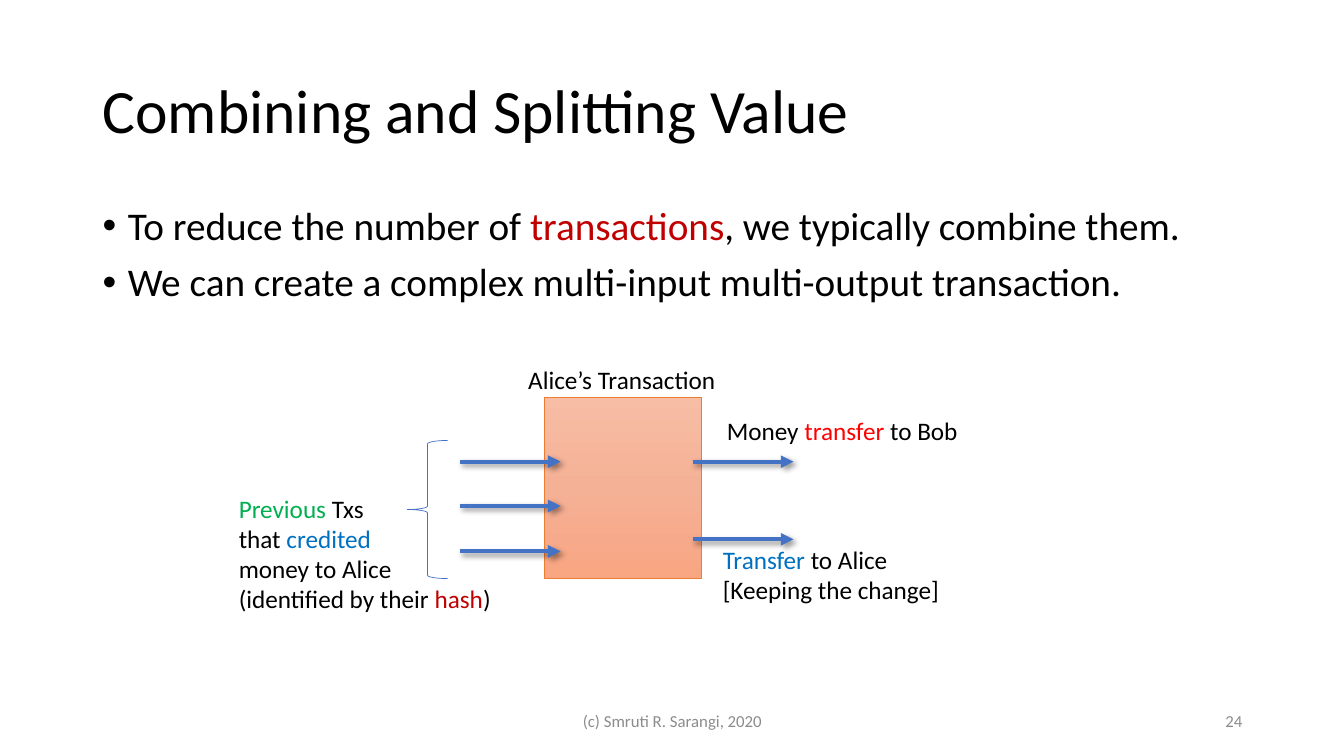
from copy import deepcopy
from dataclasses import dataclass

from lxml import etree
from pptx import Presentation
from pptx import util as u
from pptx.dml.color import RGBColor
from pptx.enum import shapes, text
from pptx.oxml import parse_xml
from pptx.oxml.ns import nsdecls, qn


@dataclass(frozen=True)
class Theme:
    font: str = "Calibri"
    title: int = 44
    body: int = 28
    label: int = 18
    footer: int = 12
    black: str = "000000"
    grey: str = "8C8C8C"
    dark_red: str = "C00000"
    red: str = "FF0000"
    green: str = "00B050"
    sky: str = "0070C0"
    blue: str = "4472C4"
    orange: str = "ED7D31"
    box_stops: tuple[str, ...] = ("F7BDA5", "F5B196", "F8A582")


THEME = Theme()


@dataclass(frozen=True)
class Run:
    text: str
    color: str = THEME.black


@dataclass(frozen=True)
class TextBlock:
    left: float
    top: float
    width: float
    height: float
    size: int
    lines: tuple[tuple[Run, ...], ...]
    align: text.PP_ALIGN = text.PP_ALIGN.LEFT
    anchor: text.MSO_ANCHOR = text.MSO_ANCHOR.TOP
    spacing: float = 1.0
    bullets: bool = False
    wrap: bool = True


@dataclass(frozen=True)
class Arrow:
    left: float
    y: float
    length: float = 1.0


MIDDLE = text.MSO_ANCHOR.MIDDLE

TEXT_BLOCKS = (
    TextBlock(0.92, 0.4, 11.5, 1.45, THEME.title,
              ((Run("Combining and Splitting Value"),),),
              anchor=MIDDLE, spacing=0.9),
    TextBlock(0.92, 2, 11.5, 1.13, THEME.body, (
        (Run("To reduce the number of "), Run("transactions", THEME.dark_red),
         Run(", we typically combine them.")),
        (Run("We can create a complex multi-input multi-output transaction."),),
    ), spacing=0.9, bullets=True),
    TextBlock(5.14, 3.57, 2.08, 0.4, THEME.label,
              ((Run("Alice’s Transaction"),),), wrap=False),
    TextBlock(2.27, 4.84, 2.74, 1.31, THEME.label, (
        (Run("Previous ", THEME.green), Run("Txs")),
        (Run("that "), Run("credited", THEME.sky)),
        (Run("money to Alice"),),
        (Run("(identified by their "), Run("hash", THEME.dark_red), Run(")")),
    ), wrap=False),
    TextBlock(7.11, 4.07, 2.52, 0.4, THEME.label, (
        (Run("Money "), Run("transfer", THEME.red), Run(" to Bob")),
    ), wrap=False),
    TextBlock(7.07, 5.35, 2.38, 0.71, THEME.label, (
        (Run("Transfer", THEME.sky), Run(" to Alice")),
        (Run("[Keeping the change]"),),
    ), wrap=False),
    TextBlock(4.42, 6.95, 4.5, 0.4, THEME.footer,
              ((Run("(c) Smruti R. Sarangi, 2020", THEME.grey),),),
              align=text.PP_ALIGN.CENTER, anchor=MIDDLE),
    TextBlock(9.42, 6.95, 3, 0.4, THEME.footer,
              ((Run("24", THEME.grey),),),
              align=text.PP_ALIGN.RIGHT, anchor=MIDDLE),
)

INPUTS = tuple(Arrow(4.56, y) for y in (4.58, 5.02, 5.47))
OUTPUTS = tuple(Arrow(6.87, y) for y in (4.58, 5.35))


def rgb(color: str) -> RGBColor:
    return RGBColor.from_string(color)


def add_bullet(p) -> None:
    pPr = p._p.get_or_add_pPr()
    pPr.set("marL", str(u.Inches(0.25)))
    pPr.set("indent", str(u.Inches(-0.25)))
    etree.SubElement(pPr, qn("a:buFont")).set("typeface", "Arial")
    etree.SubElement(pPr, qn("a:buChar")).set("char", "•")


def draw_text(slide, block: TextBlock) -> None:
    box = slide.shapes.add_textbox(u.Inches(block.left), u.Inches(block.top),
                                   u.Inches(block.width), u.Inches(block.height))
    tf = box.text_frame
    tf.word_wrap = block.wrap
    tf.auto_size = (text.MSO_AUTO_SIZE.NONE if block.wrap
                    else text.MSO_AUTO_SIZE.SHAPE_TO_FIT_TEXT)
    tf.vertical_anchor = block.anchor
    for index, line in enumerate(block.lines):
        p = tf.add_paragraph() if index else tf.paragraphs[0]
        if block.bullets:
            add_bullet(p)
            p.space_before = u.Pt(10 if index else 0)
        p.alignment = block.align
        p.line_spacing = block.spacing
        for run in line:
            r = p.add_run()
            r.text = run.text
            r.font.name = THEME.font
            r.font.size = u.Pt(block.size)
            r.font.color.rgb = rgb(run.color)


def draw_shape(slide, kind: shapes.MSO_SHAPE, left: float, top: float,
               width: float, height: float, color: str):
    sp = slide.shapes.add_shape(kind, u.Inches(left), u.Inches(top),
                                u.Inches(width), u.Inches(height))
    sp.shadow.inherit = False
    sp.fill.background()
    sp.line.color.rgb = rgb(color)
    sp.line.width = u.Pt(0.5)
    return sp


def fill_gradient(sp, colors: tuple[str, ...]) -> None:
    sp.fill.gradient()
    sp.fill.gradient_angle = 270
    stop_list = sp._element.spPr.find(".//" + qn("a:gsLst"))
    while len(stop_list) < len(colors):
        stop_list.append(deepcopy(stop_list[-1]))
    for index, (stop, color) in enumerate(zip(sp.fill.gradient_stops, colors)):
        stop.position = index / (len(colors) - 1)
        stop.color.rgb = rgb(color)


def draw_arrow(slide, arrow: Arrow) -> None:
    y = u.Inches(arrow.y)
    line = slide.shapes.add_connector(
        shapes.MSO_CONNECTOR.STRAIGHT, u.Inches(arrow.left), y,
        u.Inches(arrow.left + arrow.length), y)
    line.line.color.rgb = rgb(THEME.blue)
    line.line.width = u.Pt(3)
    spPr = line._element.spPr
    etree.SubElement(spPr.find(qn("a:ln")), qn("a:tailEnd")).set("type", "triangle")
    spPr.append(parse_xml(
        f'<a:effectLst {nsdecls("a")}>'
        f'<a:outerShdw blurRad="{u.Pt(4)}" dist="{u.Pt(3)}" dir="{45 * 60000}" '
        f'algn="tl" rotWithShape="0"><a:srgbClr val="{THEME.black}">'
        '<a:alpha val="40000"/></a:srgbClr></a:outerShdw></a:effectLst>'))


def main() -> None:
    prs = Presentation()
    prs.slide_width, prs.slide_height = u.Inches(13.33), u.Inches(7.5)
    slide = prs.slides.add_slide(prs.slide_layouts[6])
    transaction = draw_shape(slide, shapes.MSO_SHAPE.RECTANGLE,
                             5.4, 3.94, 1.56, 1.8, THEME.orange)
    fill_gradient(transaction, THEME.box_stops)
    draw_shape(slide, shapes.MSO_SHAPE.LEFT_BRACE, 4.04, 4.37, 0.4, 1.37, THEME.blue)
    for arrow in INPUTS + OUTPUTS:
        draw_arrow(slide, arrow)
    for block in TEXT_BLOCKS:
        draw_text(slide, block)
    prs.save("out.pptx")


if __name__ == "__main__":
    main()
